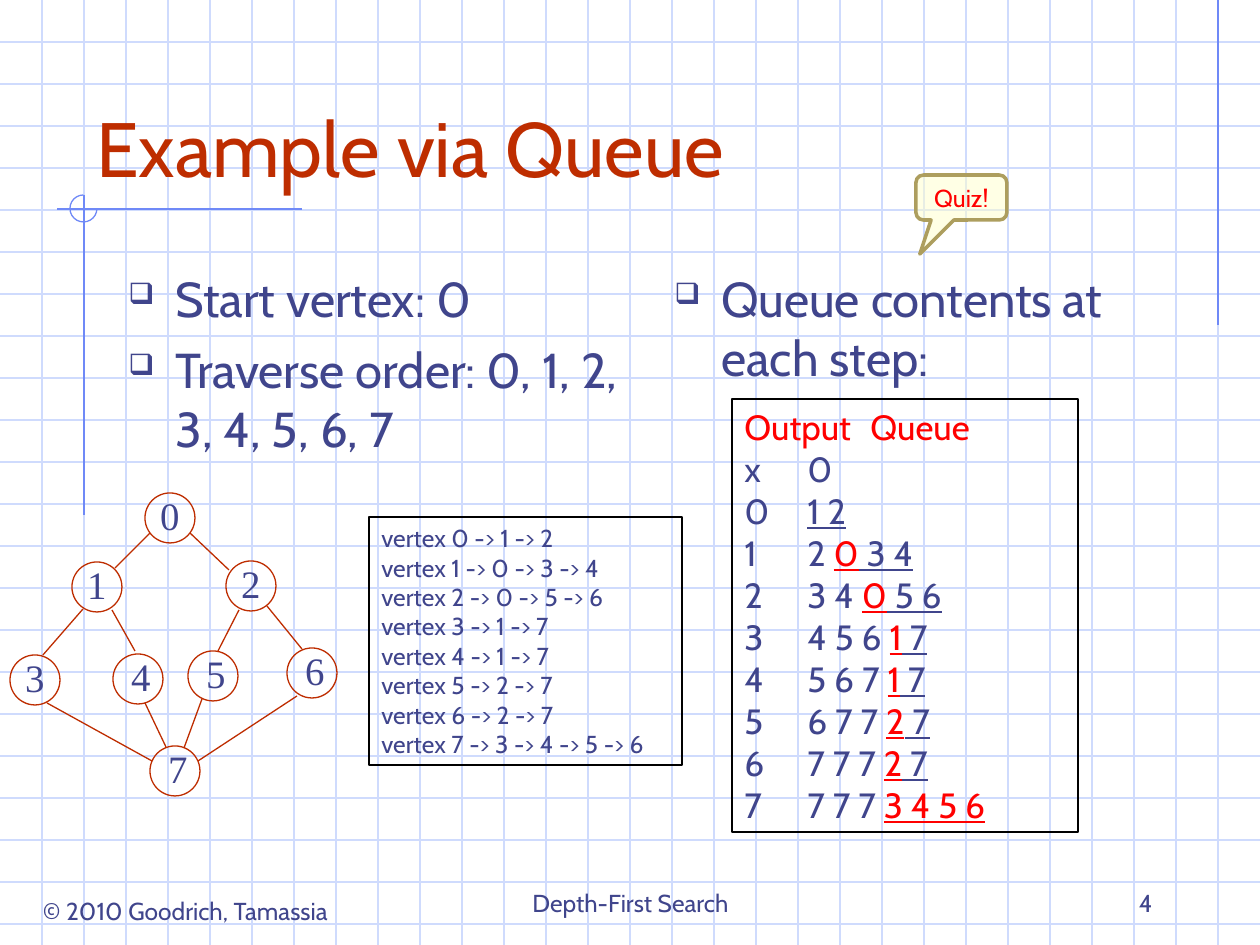
from dataclasses import dataclass

from lxml import etree
from pptx import Presentation
from pptx.dml.color import RGBColor
from pptx.enum.shapes import MSO_CONNECTOR, MSO_SHAPE
from pptx.enum.text import MSO_ANCHOR, PP_ALIGN
from pptx.oxml.ns import qn
from pptx.util import Emu, Pt

STRAIGHT = MSO_CONNECTOR.STRAIGHT
ARC, ELLIPSE, RECTANGLE = MSO_SHAPE.ARC, MSO_SHAPE.OVAL, MSO_SHAPE.RECTANGLE
CALLOUT = MSO_SHAPE.ROUNDED_RECTANGULAR_CALLOUT
TOP, MIDDLE, BOTTOM = MSO_ANCHOR.TOP, MSO_ANCHOR.MIDDLE, MSO_ANCHOR.BOTTOM
LEFT, CENTER, RIGHT = PP_ALIGN.LEFT, PP_ALIGN.CENTER, PP_ALIGN.RIGHT

EMU_PER_PX = 914400 / 126
PAGE_WIDTH, PAGE_HEIGHT, GRID_STEP = 1260, 945, 42


@dataclass(frozen=True)
class Theme:
    ink: str = "40458C"
    accent: str = "BE2D00"
    red: str = "FF0000"
    grid: str = "CFDBFD"
    ornament: str = "6F89F7"
    frame: str = "000000"
    callout_fill: str = "FFFFCC"
    callout_line: str = "AD9E5E"
    font: str = "Cabin"
    node_font: str = "Times New Roman"
    title_size: float = 44
    body_size: float = 28
    node_size: float = 22.2
    queue_size: float = 20
    small_size: float = 14
    thin: float = 0.75
    thick: float = 2


THEME = Theme()

# Graph: label, left, top, extra left inset
NODE_SIZE = 50
NODES = [
    ("0", 145, 493, 0), ("1", 72, 562, 0), ("2", 226, 561, 0), ("3", 10, 655, 0),
    ("4", 113, 654, 6), ("5", 188, 651, 6), ("6", 287, 648, 6), ("7", 150, 746, 6),
]
EDGES = [
    (150, 533, 115, 568), (190, 533, 229, 570), (83, 609, 43, 655),
    (112, 610, 135, 651), (239, 610, 218, 651), (267, 606, 302, 649),
    (145, 703, 166, 747), (202, 699, 184, 748), (47, 703, 152, 761),
    (297, 696, 198, 761),
]
ADJACENCY = [
    "vertex 0 -> 1 -> 2", "vertex 1 -> 0 -> 3 -> 4", "vertex 2 -> 0 -> 5 -> 6",
    "vertex 3 -> 1 -> 7", "vertex 4 -> 1 -> 7", "vertex 5 -> 2 -> 7",
    "vertex 6 -> 2 -> 7", "vertex 7 -> 3 -> 4 -> 5 -> 6",
]
# Output, items waiting, repeated items (red), new items
QUEUE_STEPS = [
    ("x", "0", "", ""), ("0", "", "", "1 2"), ("1", "2 ", "0", " 3 4"),
    ("2", "3 4 ", "0", " 5 6"), ("3", "4 5 6 ", "1", " 7"),
    ("4", "5 6 7 ", "1", " 7"), ("5", "6 7 7 ", "2", " 7"),
    ("6", "7 7 7 ", "2", " 7"), ("7", "7 7 7 ", "3 4 5 6", ""),
]


def px(value):
    return Emu(round(value * EMU_PER_PX))


def apply(target, values):
    for name, value in values.items():
        setattr(target, name, value)


def add_line(page, ends, color):
    line = page.shapes.add_connector(STRAIGHT, *map(px, ends))
    line.line.color.rgb = RGBColor.from_string(color)
    line.line.width = Pt(THEME.thin)
    etree.SubElement(line._element.spPr, qn("a:effectLst"))


def add_outline(page, kind, bounds, color, width=THEME.thin):
    shape = page.shapes.add_shape(kind, *map(px, bounds))
    shape.shadow.inherit = False
    shape.fill.background()
    shape.line.color.rgb = RGBColor.from_string(color)
    shape.line.width = Pt(width)
    return shape


def add_bullet(para):
    properties = para._p.get_or_add_pPr()
    properties.set("marL", str(px(47)))
    properties.set("indent", str(-px(47)))
    color = etree.SubElement(properties, qn("a:buClr"))
    etree.SubElement(color, qn("a:srgbClr"), val=THEME.ink)
    etree.SubElement(properties, qn("a:buSzPct"), val="60000")
    etree.SubElement(properties, qn("a:buChar"), char="❑")


def write(box, lines, size, color=THEME.ink, font=THEME.font, align=LEFT,
          anchor=TOP, bullets=False, spacing=None):
    """Each line is a string or a list of (text, color, underline) spans."""
    frame = box.text_frame
    apply(frame, {"word_wrap": True, "vertical_anchor": anchor})
    for index, line in enumerate(lines):
        para = frame.add_paragraph() if index else frame.paragraphs[0]
        apply(para, {"alignment": align, "line_spacing": spacing})
        if bullets:
            add_bullet(para)
            if index:
                para.space_before = Pt(7)
        spans = [(line, color, False)] if isinstance(line, str) else line
        for text, span_color, underline in spans:
            span = para.add_run()
            span.text = text
            apply(span.font, {"name": font, "size": Pt(size), "underline": underline})
            span.font.color.rgb = RGBColor.from_string(span_color)


def add_text(page, bounds, lines, size, **style):
    write(page.shapes.add_textbox(*map(px, bounds)), lines, size, **style)


def add_node(page, label, left, top, shift):
    node = add_outline(page, ELLIPSE, (left, top, NODE_SIZE, NODE_SIZE), THEME.accent)
    apply(node.text_frame, {"margin_left": px(2 + shift), "margin_right": px(2),
                            "margin_top": px(1), "margin_bottom": px(1)})
    write(node, [label], THEME.node_size, font=THEME.node_font, align=CENTER,
          anchor=MIDDLE, spacing=0.9)


def add_callout(page):
    callout = add_outline(page, CALLOUT, (916, 175, 91, 45),
                          THEME.callout_line, THEME.thick)
    for index, value in enumerate((-0.457, 1.257, 0.167)):
        callout.adjustments[index] = value
    callout.fill.solid()
    callout.fill.fore_color.rgb = RGBColor.from_string(THEME.callout_fill)
    color = callout._element.spPr.find(qn("a:solidFill")).find(qn("a:srgbClr"))
    etree.SubElement(color, qn("a:alpha"), val="50000")
    write(callout, ["Quiz!"], THEME.small_size, color=THEME.red,
          align=CENTER, anchor=MIDDLE)


def add_background(page):
    for y in range(GRID_STEP, PAGE_HEIGHT, GRID_STEP):
        add_line(page, (0, y, PAGE_WIDTH, y), THEME.grid)
    for x in range(GRID_STEP, PAGE_WIDTH, GRID_STEP):
        add_line(page, (x, 0, x, PAGE_HEIGHT), THEME.grid)
    for ends in ((1218, 0, 1218, 325), (302, 209, 57, 209), (84, 195, 84, 515)):
        add_line(page, ends, THEME.ornament)
    # Three-quarter circle, angles in units of 100000/60000 degree
    arc = add_outline(page, ARC, (70, 195, 27, 27), THEME.ornament)
    arc.adjustments[0], arc.adjustments[1] = 0, 162


def queue_lines():
    yield [("Output\tQueue", THEME.red, False)]
    for output, waiting, repeated, new in QUEUE_STEPS:
        spans = [(f"{output}\t{waiting}", THEME.ink, False),
                 (repeated, THEME.red, True), (new, THEME.ink, True)]
        yield [span for span in spans if span[0]]


def main():
    deck = Presentation()
    deck.slide_width, deck.slide_height = px(PAGE_WIDTH), px(PAGE_HEIGHT)
    page = deck.slides.add_slide(deck.slide_layouts[6])
    add_background(page)

    # Title and bullets
    add_text(page, (84, 42, 1071, 157), ["Example via Queue"], THEME.title_size,
             color=THEME.accent, anchor=BOTTOM)
    add_text(page, (116, 262, 525, 567),
             ["Start vertex: 0", "Traverse order: 0, 1, 2, 3, 4, 5, 6, 7"],
             THEME.body_size, bullets=True)
    add_text(page, (662, 262, 525, 567), ["Queue contents at each step:"],
             THEME.body_size, bullets=True)

    # Footer
    add_text(page, (15, 890, 341, 43), ["© 2010 Goodrich, Tamassia"],
             THEME.small_size, align=CENTER)
    add_text(page, (431, 861, 399, 63), ["Depth-First Search"],
             THEME.small_size, align=CENTER, anchor=BOTTOM)
    add_text(page, (903, 861, 262, 63), ["4"],
             THEME.small_size, align=RIGHT, anchor=BOTTOM)

    # Graph
    for node in NODES:
        add_node(page, *node)
    for ends in EDGES:
        add_line(page, ends, THEME.accent)

    # Queue trace, quiz callout and adjacency list
    queue = add_outline(page, RECTANGLE, (732, 399, 346, 433), THEME.frame)
    write(queue, queue_lines(), THEME.queue_size)
    add_callout(page)
    adjacency = add_outline(page, RECTANGLE, (369, 517, 313, 248), THEME.frame)
    write(adjacency, ADJACENCY, THEME.small_size)

    deck.save("out.pptx")


if __name__ == "__main__":
    main()
